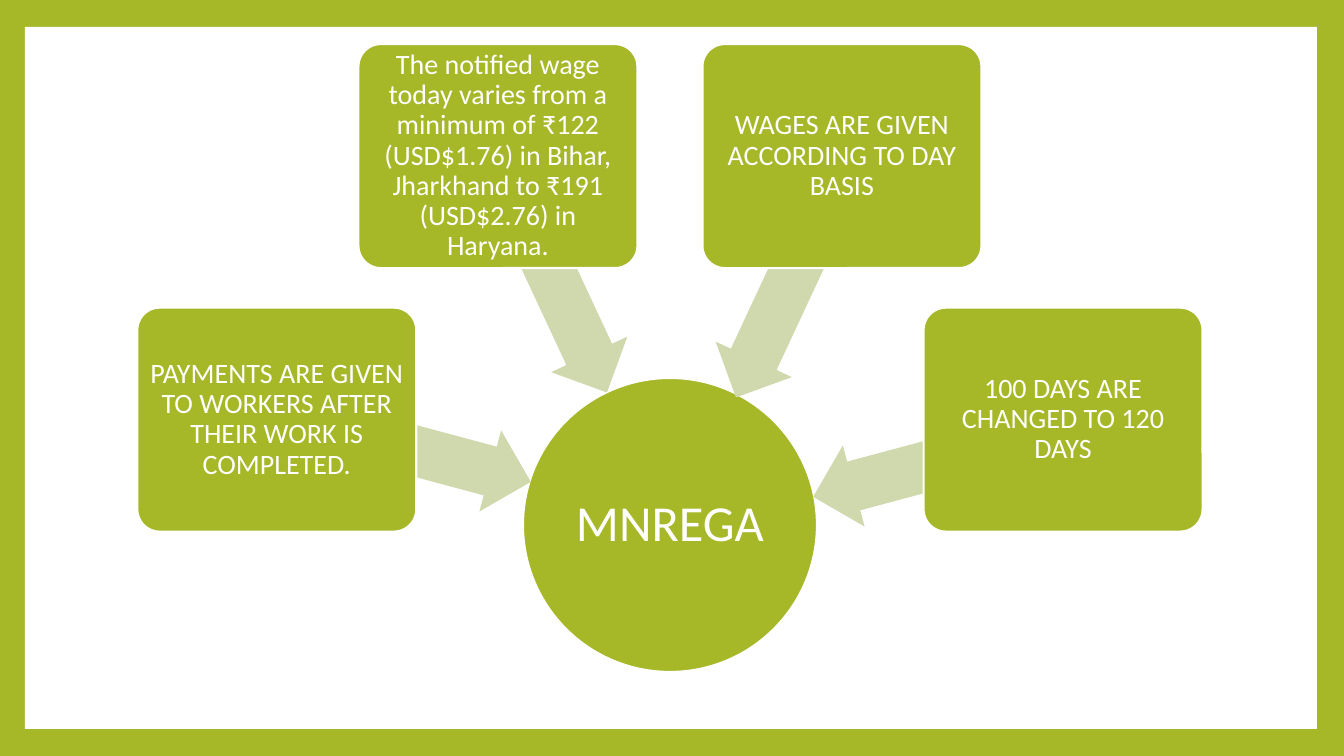
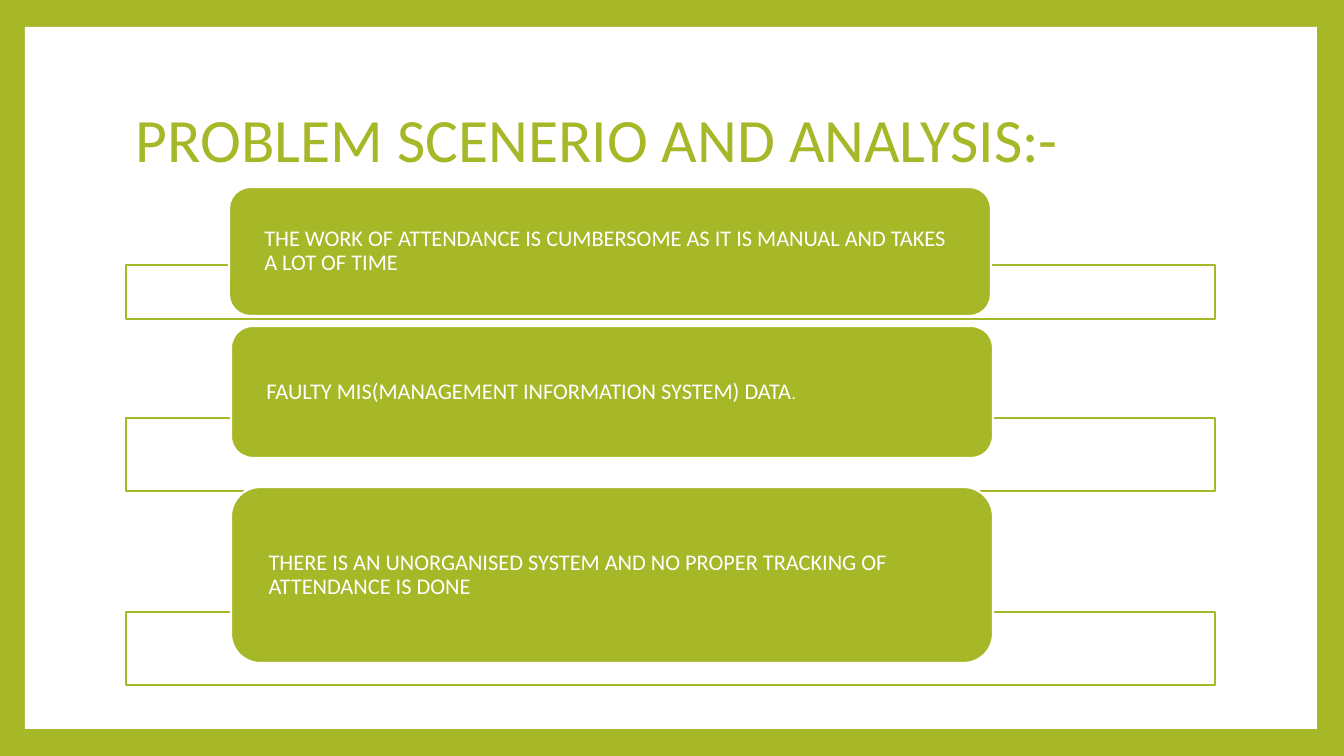
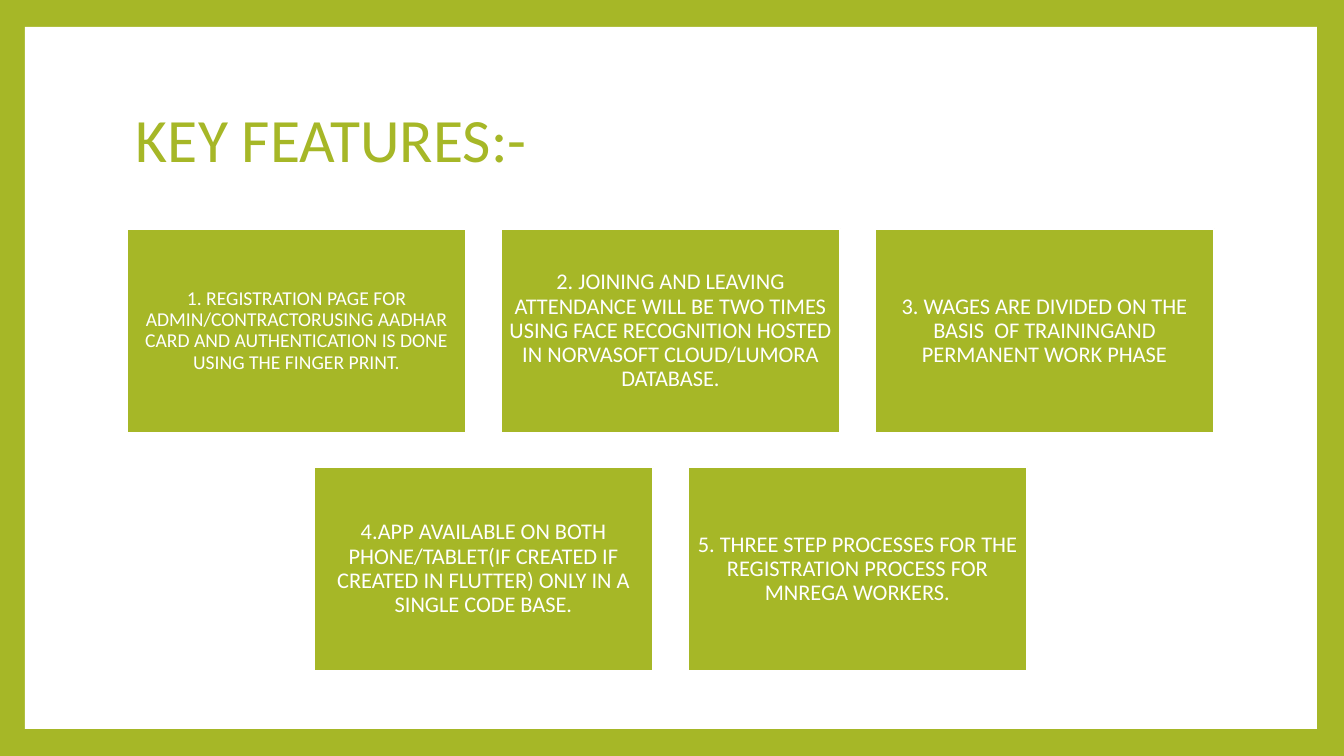
import math

import pptx
import pptx.dml.color
import pptx.enum.shapes
import pptx.enum.text
import pptx.util

PX = 914400 / 100.8
SLIDE_W, SLIDE_H = 1344, 756
FONT = "Calibri"
GREEN, PALE, WHITE = "A6B727", "D0D8AD", "FFFFFF"
FRAME = (25, 27, 1292, 702)
TITLE_BOX = (126, 68, 1089, 149)

MSO = pptx.enum.shapes.MSO_SHAPE
ALIGN = pptx.enum.text.PP_ALIGN
MIDDLE = pptx.enum.text.MSO_ANCHOR.MIDDLE

HUB = {"text": "MNREGA", "center": (670, 525), "size": 294}
SPOKE_RADIUS, SPOKE_SIZE, ARROW_SIZE = 407, (279, 224), (246, 84)
SPOKES = [
    (195, (412, 450), "PAYMENTS ARE GIVEN TO WORKERS AFTER THEIR WORK IS COMPLETED."),
    (245, (555, 281), "The notified wage today varies from a minimum of ₹122 (USD$1.76) "
                      "in Bihar, Jharkhand to ₹191 (USD$2.76) in Haryana."),
    (295, (788, 286), "WAGES ARE GIVEN ACCORDING TO DAY BASIS"),
    (345, (932, 465), "100 DAYS ARE CHANGED TO 120 DAYS"),
]

PROBLEM_TITLE = "PROBLEM SCENERIO AND ANALYSIS:-"
BAR_X, BAR_W, CARD_W = 126, 1089, 762
PROBLEMS = [
    ((265, 54), (229, 187, 129),
     [("THE WORK OF ATTENDANCE IS CUMBERSOME AS IT IS MANUAL AND TAKES A LOT OF TIME", 16)]),
    ((418, 73), (231, 326, 132),
     [("FAULTY MIS(MANAGEMENT INFORMATION SYSTEM) DATA", 16), (".", 12)]),
    ((612, 73), (231, 487, 176),
     [("THERE IS AN UNORGANISED SYSTEM AND NO PROPER TRACKING OF ATTENDANCE IS DONE", 16)]),
]

FEATURE_TITLE = "KEY FEATURES:-"
TILE_W, TILE_H, TILE_GAP, TILES_TOP = 340, 204, 34, 229
FEATURE_ROWS = [
    [("1. REGISTRATION PAGE FOR ADMIN/CONTRACTORUSING AADHAR CARD AND AUTHENTICATION "
      "IS DONE USING THE FINGER PRINT.", 14),
     ("2. JOINING AND LEAVING ATTENDANCE WILL BE TWO TIMES USING FACE RECOGNITION HOSTED "
      "IN NORVASOFT CLOUD/LUMORA DATABASE.", 16),
     ("3. WAGES ARE DIVIDED ON THE BASIS  OF TRAININGAND PERMANENT WORK PHASE", 16)],
    [("4.APP AVAILABLE ON BOTH PHONE/TABLET(IF CREATED IF CREATED IN FLUTTER) ONLY IN A "
      "SINGLE CODE BASE.", 16),
     ("5. THREE STEP PROCESSES FOR THE REGISTRATION PROCESS FOR MNREGA WORKERS.", 16)],
]


def px(n):
    return pptx.util.Emu(round(n * PX))


def rgb(color):
    return pptx.dml.color.RGBColor.from_string(color)


def centered(center, size):
    return (center[0] - size[0] / 2, center[1] - size[1] / 2, *size)


def add_shape(slide, kind, box, fill=GREEN, line=WHITE):
    sp = slide.shapes.add_shape(kind, *map(px, box))
    sp.shadow.inherit = False
    sp.fill.solid()
    sp.fill.fore_color.rgb = rgb(fill)
    if line:
        sp.line.color.rgb = rgb(line)
        sp.line.width = pptx.util.Pt(1.5)
    else:
        sp.line.fill.background()
    return sp


def write(sp, runs, color=WHITE, align=ALIGN.CENTER, insets=(4, 4)):
    tf = sp.text_frame
    tf.word_wrap = True
    tf.vertical_anchor = MIDDLE
    tf.margin_left = tf.margin_right = px(insets[0])
    tf.margin_top = tf.margin_bottom = px(insets[1])
    p = tf.paragraphs[0]
    p.alignment = align
    p.line_spacing = 0.9
    for text, size in runs:
        r = p.add_run()
        r.text = text
        r.font.name = FONT
        r.font.size = pptx.util.Pt(size)
        r.font.color.rgb = rgb(color)


def add_slide(prs, title=None):
    slide = prs.slides.add_slide(prs.slide_layouts[6])
    add_shape(slide, MSO.RECTANGLE, FRAME, WHITE, None)
    if title:
        sp = slide.shapes.add_textbox(*map(px, TITLE_BOX))
        write(sp, [(title, 44)], GREEN, ALIGN.LEFT, (10, 5))
    return slide


def build_hub(prs):
    slide = add_slide(prs)
    cx, cy = HUB["center"]
    hub = add_shape(slide, MSO.OVAL, centered((cx, cy), (HUB["size"], HUB["size"])))
    write(hub, [(HUB["text"], 36)])
    for angle, arrow_center, text in SPOKES:
        arrow = add_shape(slide, MSO.LEFT_ARROW, centered(arrow_center, ARROW_SIZE), PALE, None)
        arrow.adjustments[0] = 0.6
        arrow.adjustments[1] = 0.5
        arrow.rotation = angle
        turn = math.radians(angle)
        center = (cx + SPOKE_RADIUS * math.cos(turn), cy + SPOKE_RADIUS * math.sin(turn))
        card = add_shape(slide, MSO.ROUNDED_RECTANGLE, centered(center, SPOKE_SIZE))
        card.adjustments[0] = 0.1
        write(card, [(text, 20)])


def build_problems(prs):
    slide = add_slide(prs, PROBLEM_TITLE)
    for (bar_y, bar_h), (x, y, h), runs in PROBLEMS:
        add_shape(slide, MSO.RECTANGLE, (BAR_X, bar_y, BAR_W, bar_h), WHITE, GREEN)
        card = add_shape(slide, MSO.ROUNDED_RECTANGLE, (x, y, CARD_W, h))
        write(card, runs, align=ALIGN.LEFT, insets=(29, 0))


def build_features(prs):
    slide = add_slide(prs, FEATURE_TITLE)
    middle = TITLE_BOX[0] + TITLE_BOX[2] / 2
    for i, row in enumerate(FEATURE_ROWS):
        left = middle - (len(row) * (TILE_W + TILE_GAP) - TILE_GAP) / 2
        y = TILES_TOP + i * (TILE_H + TILE_GAP)
        for j, feature in enumerate(row):
            x = left + j * (TILE_W + TILE_GAP)
            tile = add_shape(slide, MSO.RECTANGLE, (x, y, TILE_W, TILE_H))
            write(tile, [feature], insets=(7, 7))


def main():
    prs = pptx.Presentation()
    prs.slide_width, prs.slide_height = px(SLIDE_W), px(SLIDE_H)
    fill = prs.slide_master.background.fill
    fill.solid()
    fill.fore_color.rgb = rgb(GREEN)
    build_hub(prs)
    build_problems(prs)
    build_features(prs)
    prs.save("out.pptx")


if __name__ == "__main__":
    main()
